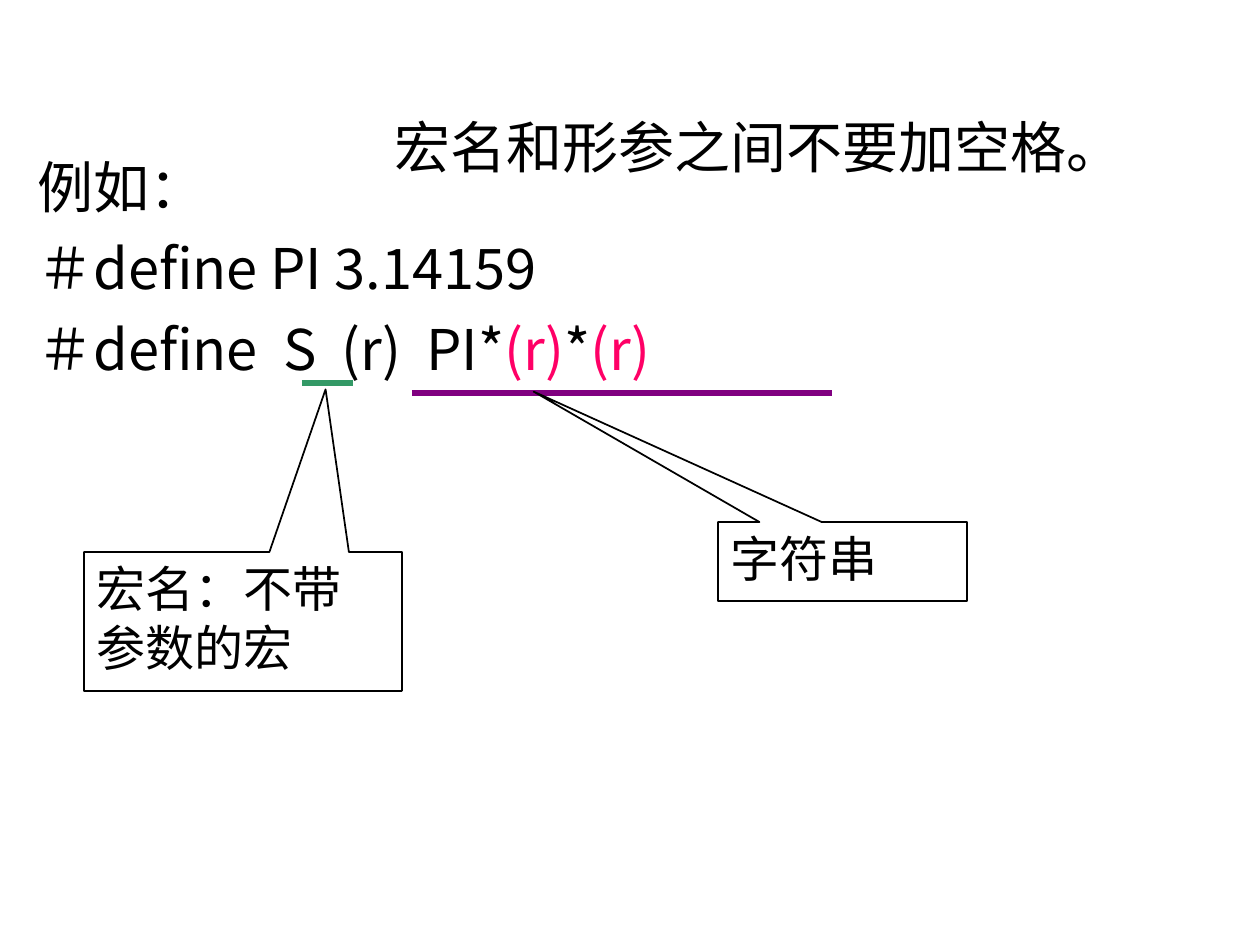
from dataclasses import dataclass

from lxml.etree import SubElement as Sub
from pptx import Presentation as Deck
from pptx.dml.color import RGBColor as Rgb
from pptx.enum.shapes import MSO_CONNECTOR as Link, MSO_SHAPE as Kind
from pptx.enum.text import MSO_ANCHOR as Anchor, MSO_AUTO_SIZE as Fit, PP_ALIGN as Align
from pptx.oxml.ns import qn
from pptx.util import Pt

SCALE = 914400 / 126


@dataclass(frozen=True)
class Theme:
    ink: str = "000000"
    pink: str = "FF0066"
    green: str = "339966"
    purple: str = "800080"
    sans: str = "Noto Sans CJK SC"
    serif: str = "Times New Roman"
    large: int = 32
    small: int = 28


def emu(*sizes):
    return [round(size * SCALE) for size in sizes]


class Page:
    """Draws styled elements on one slide."""

    def __init__(self, deck, theme):
        self.theme = theme
        self.slide = deck.slides.add_slide(deck.slide_layouts[6])

    def style(self, para, size, face):
        para.alignment = Align.LEFT
        font = para.font
        font.size, font.name = Pt(size), face
        font.color.rgb = Rgb.from_string(self.theme.ink)
        base = para._p.pPr.find(qn("a:defRPr"))
        Sub(base, qn("a:ea")).set("typeface", self.theme.sans)

    def text(self, box, lines, face, gap=0, hang=0):
        frame = self.slide.shapes.add_textbox(*emu(*box)).text_frame
        frame.word_wrap = True
        frame.auto_size = Fit.NONE if hang else Fit.SHAPE_TO_FIT_TEXT
        for spot, line in enumerate(lines):
            para = frame.add_paragraph() if spot else frame.paragraphs[0]
            self.style(para, self.theme.large, face)
            para.space_before = Pt(gap)
            inset, = emu(hang)
            para._p.pPr.set("marL", str(inset))
            para._p.pPr.set("indent", str(-inset))
            for words, tint in line:
                run = para.add_run()
                run.text = words
                if tint:
                    run.font.color.rgb = Rgb.from_string(tint)

    def rule(self, group, start, end, level, tint):
        line = group.shapes.add_connector(Link.STRAIGHT, *emu(start, level, end, level))
        line.line.color.rgb = Rgb.from_string(tint)
        line.line.width = Pt(3)
        Sub(line._element.spPr, qn("a:effectLst"))

    def note(self, rule, box, tip, words):
        group = self.slide.shapes.add_group_shape()
        self.rule(group, *rule)
        shape = group.shapes.add_shape(Kind.RECTANGULAR_CALLOUT, *emu(*box))
        shape.adjustments[0], shape.adjustments[1] = tip
        shape.shadow.inherit = False
        shape.fill.background()
        shape.line.color.rgb = Rgb.from_string(self.theme.ink)
        shape.line.width = Pt(1)
        frame = shape.text_frame
        frame.word_wrap = True
        frame.vertical_anchor = Anchor.TOP
        frame.text = words
        self.style(frame.paragraphs[0], self.theme.small, self.theme.serif)


def main():
    deck = Deck()
    deck.slide_width, deck.slide_height = emu(1260, 945)
    theme = Theme()
    page = Page(deck, theme)
    code = [
        [("例如：", None)],
        [("＃define PI 3.14159", None)],
        [("＃define  S  (r)  PI*", None), ("(r)", theme.pink),
         ("*", None), ("(r)", theme.pink)],
    ]
    page.text((25, 146, 1197, 703), code, theme.sans, gap=8, hang=48)
    page.text((382, 106, 759, 81), [[("宏名和形参之间不要加空格。", None)]], theme.serif)
    page.note((302, 353, 383, theme.green), (84, 552, 318, 139),
              (0.26, -1.67), "宏名：不带参数的宏")
    page.note((412, 832, 393, theme.purple), (718, 522, 249, 79),
              (-1.24, -2.15), "字符串")
    deck.save("out.pptx")


if __name__ == "__main__":
    main()
